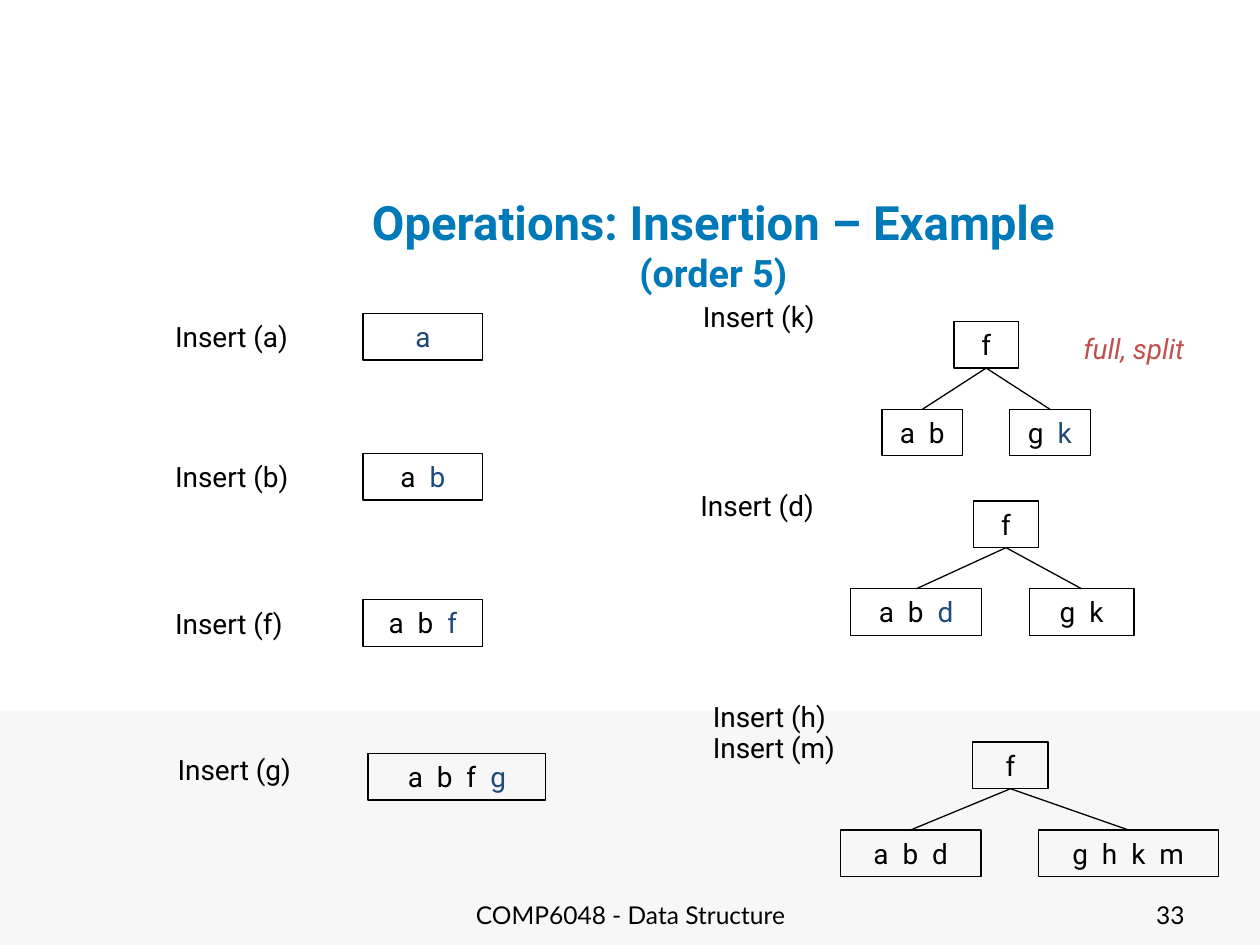
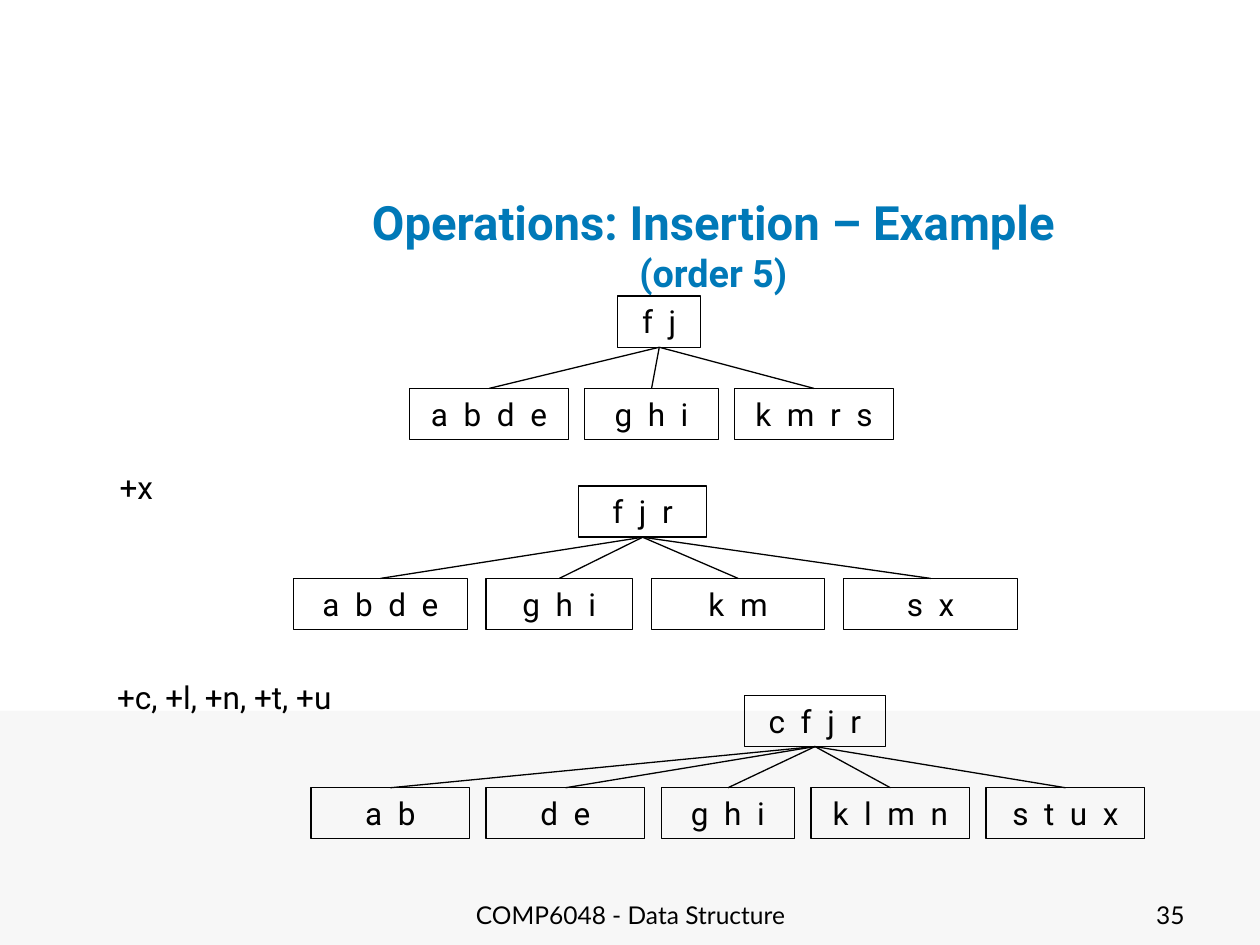
import pptx
import pptx.dml.color
import pptx.enum.shapes
import pptx.enum.text
import pptx.util
from lxml import etree
from pptx.dml.color import RGBColor
from pptx.util import Cm

BLACK = RGBColor(0x00, 0x00, 0x00)
BLUE = RGBColor(0x00, 0x79, 0xB8)
NAVY = RGBColor(0x1F, 0x49, 0x7D)
RED = RGBColor(0xC0, 0x50, 0x4D)
PALE_GREY = RGBColor(0xF7, 0xF7, 0xF7)
BODY_FONT, FOOTER_FONT = "Roboto", "Lato"

TITLE, SUBTITLE = "Operations: Insertion – Example", "(order 5)"
FOOTER = "COMP6048 - Data Structure"
BRANCH_DROP = 0.83

# Lengths are centimetres. A node is (keys, newly inserted key, width).
# A label is (text, left, top, width, height).
# A tree is (root, root left, root top, leaves, first leaf left, leaf gap).
SLIDES = [
    {
        "number": "33", "size": 16, "node_height": 0.94,
        "labels": [
            ("Insert (a)", 3.28, 6.32, 4.14, 0.94),
            ("Insert (b)", 3.28, 9.14, 3.71, 0.94),
            ("Insert (f)", 3.28, 12.1, 2.9, 0.94),
            ("Insert (g)", 3.33, 15.04, 3.23, 0.94),
            ("Insert (k)", 13.92, 5.92, 3.23, 0.94),
            ("Insert (d)", 13.87, 9.73, 3.07, 0.94),
            ("Insert (h)", 14.12, 13.97, 3.23, 0.94),
            ("Insert (m)", 14.12, 14.6, 3.23, 0.94),
        ],
        "remarks": [("full, split", 21.59, 6.55, 3.18, 0.94)],
        "trees": [
            (("", "a", 2.41), 7.32, 6.32, [], 0, 0),
            (("a ", "b", 2.41), 7.32, 9.14, [], 0, 0),
            (("a b ", "f", 2.41), 7.32, 12.09, [], 0, 0),
            (("a b f ", "g", 3.58), 7.42, 15.19, [], 0, 0),
            (("f", "", 1.3), 19.23, 6.48,
             [("a b", "", 1.63), ("g ", "k", 1.63)], 17.78, 0.94),
            (("f", "", 1.3), 19.63, 10.1,
             [("a b ", "d", 2.64), ("g k", "", 2.11)], 17.15, 0.96),
            (("f", "", 1.52), 19.61, 14.96,
             [("a b d", "", 2.84), ("g h k m", "", 3.63)], 16.94, 1.15),
        ],
    },
    {
        "number": "35", "size": 18, "node_height": 1.03,
        "labels": [
            ("+x", 2.16, 9.32, 3.35, 1.03),
            ("+c, +l, +n, +t, +u", 2.11, 13.54, 5.72, 1.8),
        ],
        "remarks": [],
        "trees": [
            (("f j", "", 1.68), 12.45, 5.97,
             [("a b d e", "", 3.2), ("g h i", "", 2.69), ("k m r s", "", 3.2)],
             8.26, 0.33),
            (("f j r", "", 2.59), 11.66, 9.8,
             [("a b d e", "", 3.5), ("g h i", "", 2.95), ("k m", "", 3.5),
              ("s x", "", 3.5)], 5.92, 0.38),
            (("c f j r", "", 2.84), 15.01, 14.02,
             [("a b", "", 3.2), ("d e", "", 3.2), ("g h i", "", 2.69),
              ("k l m n", "", 3.2), ("s t u x", "", 3.2)], 6.27, 0.33),
        ],
    },
]

ALIGN = pptx.enum.text.PP_ALIGN
ANCHOR = pptx.enum.text.MSO_ANCHOR
RECTANGLE = pptx.enum.shapes.MSO_SHAPE.RECTANGLE
STRAIGHT = pptx.enum.shapes.MSO_CONNECTOR.STRAIGHT


def add_span(para, text, size, color=BLACK, font=BODY_FONT, bold=False, italic=False):
    span = para.add_run()
    span.text = text
    span.font.name = font
    span.font.size = pptx.util.Pt(size)
    span.font.color.rgb = color
    span.font.bold = bold
    span.font.italic = italic
    return span


def add_text(slide, text, left, top, width, height, size, align=ALIGN.LEFT,
             anchor=ANCHOR.TOP, **style):
    box = slide.shapes.add_textbox(Cm(left), Cm(top), Cm(width), Cm(height))
    box.text_frame.word_wrap = True
    box.text_frame.vertical_anchor = anchor
    para = box.text_frame.paragraphs[0]
    para.alignment = align
    add_span(para, text, size, **style)


def add_rectangle(slide, left, top, width, height):
    box = slide.shapes.add_shape(RECTANGLE, Cm(left), Cm(top), Cm(width), Cm(height))
    box.shadow.inherit = False
    return box


def add_node(slide, node, left, top, height, size):
    keys, new_key, width = node
    box = add_rectangle(slide, left, top, width, height)
    box.fill.background()
    box.line.color.rgb = BLACK
    box.line.width = pptx.util.Pt(0.75)
    frame = box.text_frame
    frame.word_wrap = True
    frame.vertical_anchor = ANCHOR.TOP
    para = frame.paragraphs[0]
    para.alignment = ALIGN.CENTER
    for text, color in ((keys, BLACK), (new_key, NAVY)):
        if text:
            span = add_span(para, text, size, color)
            if len(text) > 1:  # letter spacing, in hundredths of a point
                span.font._element.set("spc", str(round(size * 12.5)))
    return box


def add_branch(slide, root, leaf):
    branch = slide.shapes.add_connector(STRAIGHT, 0, 0, 0, 0)
    branch.begin_connect(root, 2)
    branch.end_connect(leaf, 0)
    branch.line.color.rgb = BLACK
    branch.line.width = pptx.util.Pt(0.75)
    etree.SubElement(branch.element.spPr, pptx.oxml.ns.qn("a:effectLst"))


def add_tree(slide, tree, height, size):
    root_node, root_left, top, leaves, left, gap = tree
    root = add_node(slide, root_node, root_left, top, height, size)
    for leaf_node in leaves:
        leaf = add_node(slide, leaf_node, left, top + height + BRANCH_DROP, height, size)
        add_branch(slide, root, leaf)
        left += leaf_node[2] + gap


def set_title(slide):
    title = slide.shapes.title
    title.left, title.top, title.width, title.height = Cm(4.88), Cm(3.81), Cm(19), Cm(2.21)
    frame = title.text_frame
    frame.word_wrap = True
    frame.auto_size = pptx.enum.text.MSO_AUTO_SIZE.NONE
    frame.vertical_anchor = ANCHOR.MIDDLE
    para = frame.paragraphs[0]
    para.alignment = ALIGN.CENTER
    add_span(para, TITLE, 27, BLUE, bold=True)
    para.add_line_break()
    add_span(para, SUBTITLE, 21.6, BLUE, bold=True)


def add_frame(slide, number):
    """Add the parts every slide shares: band, title and footers."""
    band = add_rectangle(slide, 0, 14.33, 25.4, 4.72)
    band.fill.solid()
    band.fill.fore_color.rgb = PALE_GREY
    band.line.fill.background()
    set_title(slide)
    footer_style = {"anchor": ANCHOR.MIDDLE, "font": FOOTER_FONT}
    add_text(slide, FOOTER, 8.69, 17.93, 8.05, 1.02, 14, ALIGN.CENTER, **footer_style)
    add_text(slide, number, 18.21, 17.93, 5.92, 1.02, 14, ALIGN.RIGHT, **footer_style)


def main():
    deck = pptx.Presentation()
    deck.slide_width, deck.slide_height = Cm(25.4), Cm(19.05)
    for content in SLIDES:
        slide = deck.slides.add_slide(deck.slide_layouts[5])
        size = content["size"]
        add_frame(slide, content["number"])
        for label in content["labels"]:
            add_text(slide, *label, size)
        for remark in content["remarks"]:
            add_text(slide, *remark, size, color=RED, italic=True)
        for tree in content["trees"]:
            add_tree(slide, tree, content["node_height"], size)
    deck.save("out.pptx")


if __name__ == "__main__":
    main()
